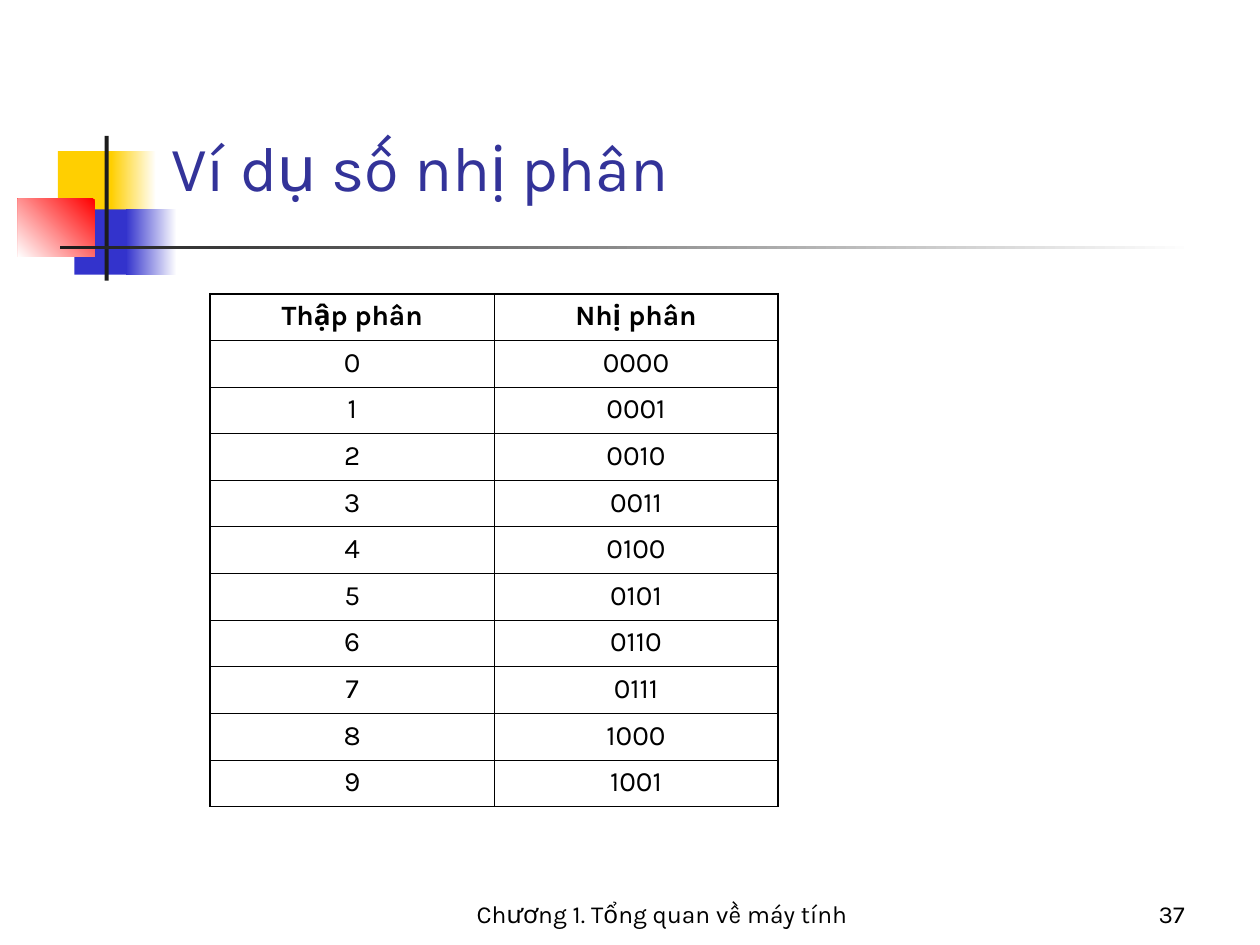
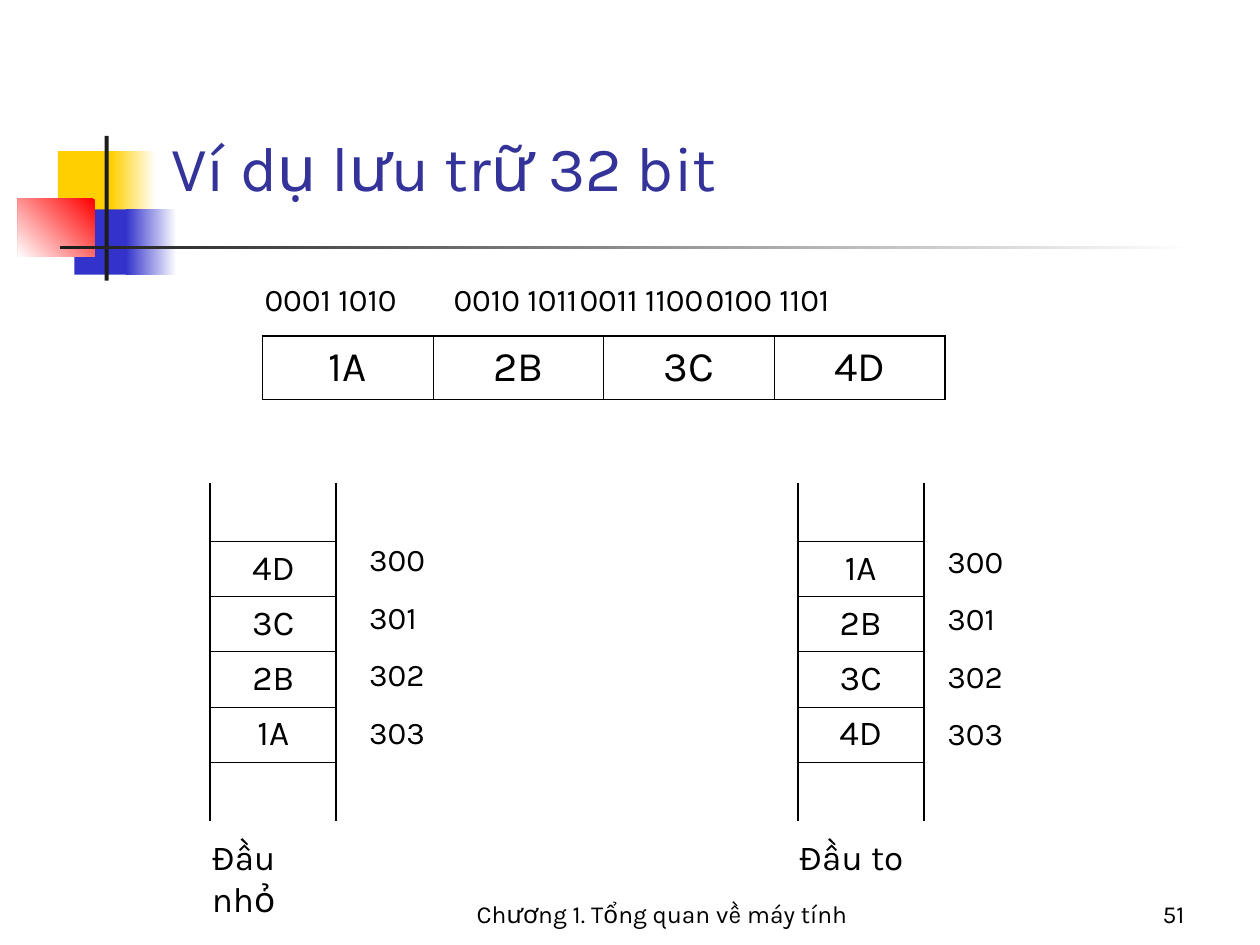
from dataclasses import dataclass

from lxml.etree import SubElement
from pptx import Presentation
from pptx.dml.color import RGBColor
from pptx.enum.shapes import MSO_SHAPE as Shape
from pptx.enum.text import MSO_ANCHOR as Anchor, MSO_AUTO_SIZE as AutoSize, PP_ALIGN as Align
from pptx.oxml.ns import qn
from pptx.util import Cm, Pt


@dataclass(frozen=True)
class Theme:
    font: str = "Karla"
    text: str = "000000"
    title: str = "333399"
    yellow: str = "FFCF01"
    blue: str = "3333CC"
    red: str = "FF0000"
    dark: str = "1C1C1C"
    white: str = "FFFFFF"
    title_size: float = 36
    word_size: float = 24
    memory_size: float = 20
    label_size: float = 18
    table_size: float = 16
    footer_size: float = 14
    thick: float = 1.08
    thin: float = 0.45


THEME = Theme()

# Boxes are (left, top, width, height) in centimetres.
TITLE_BOX = (3.2, 1.73, 21.64, 2.51)
FOOTER_BOX = (9.32, 17.58, 8.05, 1.27)
NUMBER_BOX = (18.85, 17.58, 5.28, 1.27)
FOOTER = "Chương 1. Tổng quan về máy tính"

# Each part of the band: box, fill colours (two make a gradient), gradient angle.
BAND = [
    ((1.17, 3.05, 1.22, 1.32), (THEME.yellow,), 0),
    ((2.24, 3.05, 0.91, 1.32), (THEME.white, THEME.yellow), 180),
    ((1.5, 4.22, 1.17, 1.32), (THEME.blue,), 0),
    ((2.54, 4.22, 1.02, 1.32), (THEME.white, THEME.blue), 180),
    ((0.36, 4.01, 1.55, 1.17), (THEME.red, THEME.white), 225),
    ((2.11, 2.74, 0.08, 2.92), (THEME.dark,), 0),
    ((1.22, 4.95, 22.86, 0.08), (THEME.white, THEME.dark), 180),
]

BINARY_ROWS = [("Thập phân", "Nhị phân")] + [(str(n), f"{n:04b}") for n in range(10)]

WORD_BYTES = ["1A", "2B", "3C", "4D"]
WORD_BITS = ["0001 1010", "0010 1011", "0011 1100", "0100 1101"]
BITS_BOX = (5.08, 5.51, 14.07, 1.07)
BITS_TABS = (3.1, 5.92, 8.71)
ADDRESSES = ["300", "301", "302", "303"]
# Caption, byte order, memory left, address left and top, caption height.
MEMORIES = [
    ("Đầu nhỏ", WORD_BYTES[::-1], 4.24, 7.19, 10.77, 1.96),
    ("Đầu to", WORD_BYTES, 16.08, 18.85, 10.8, 1.12),
]


def lengths(box):
    return [Cm(value) for value in box]


def write(frame, lines, size, color=THEME.text, align=Align.LEFT, bold=False, gap=0):
    frame.text = "\n".join(lines)
    for index, para in enumerate(frame.paragraphs):
        para.alignment = align
        para.space_before = Pt(gap if index else 0)
        for span in para.runs:
            span.font.name = THEME.font
            span.font.size = Pt(size)
            span.font.bold = bold
            span.font.color.rgb = RGBColor.from_string(color)


def add_label(page, box, lines, size, anchor=Anchor.TOP, **style):
    frame = page.shapes.add_textbox(*lengths(box)).text_frame
    frame.word_wrap = True
    frame.vertical_anchor = anchor
    write(frame, lines, size, **style)


def place(holder, box, anchor):
    """Move a placeholder and return its text frame, ready to be written."""
    holder.left, holder.top, holder.width, holder.height = lengths(box)
    frame = holder.text_frame
    frame.auto_size = AutoSize.NONE
    frame.vertical_anchor = anchor
    return frame


def add_band(master, page):
    """Draw the band on the page, then move it behind everything on the master."""
    tree = master.element.cSld.spTree
    for index, (box, colors, angle) in enumerate(BAND):
        part = page.shapes.add_shape(Shape.RECTANGLE, *lengths(box))
        part.name = f"Band {index + 1}"
        part.shadow.inherit = False
        part.line.fill.background()
        if len(colors) == 1:
            part.fill.solid()
            part.fill.fore_color.rgb = RGBColor.from_string(colors[0])
        else:
            part.fill.gradient()
            part.fill.gradient_angle = angle
            for stop, color in zip(part.fill.gradient_stops, colors):
                stop.color.rgb = RGBColor.from_string(color)
        part.element.nvSpPr.cNvPr.set("id", str(100 + index))
        tree.insert(2 + index, part.element)


def add_page(deck, layout, title, number):
    page = deck.slides.add_slide(deck.slide_layouts.get_by_name(layout))
    frame = place(page.shapes.title, TITLE_BOX, Anchor.BOTTOM)
    write(frame, [title], THEME.title_size, color=THEME.title)
    for box, text, align in ((FOOTER_BOX, FOOTER, Align.CENTER),
                             (NUMBER_BOX, str(number), Align.RIGHT)):
        add_label(page, box, [text], THEME.footer_size, Anchor.BOTTOM, align=align)
    return page


def set_borders(cell, widths):
    """Give a cell its left, right, top and bottom lines; None means no line."""
    properties = cell._tc.get_or_add_tcPr()
    for side, width in zip("LRTB", widths):
        line = SubElement(properties, qn(f"a:ln{side}"))
        if width is None:
            SubElement(line, qn("a:noFill"))
            continue
        line.set("w", str(Pt(width)))
        fill = SubElement(line, qn("a:solidFill"))
        SubElement(fill, qn("a:srgbClr")).set("val", THEME.text)


def add_grid(page, left, top, rows, column_width, heights, size,
             has_header=False, end_line=THEME.thick):
    """Add a table with thick sides, thin inner lines and end_line above and below."""
    last_row, last_column = len(rows) - 1, len(rows[0]) - 1
    box = (left, top, column_width * len(rows[0]), sum(heights))
    table = page.shapes.add_table(len(rows), len(rows[0]), *lengths(box)).table
    table.first_row = has_header
    table.horz_banding = False
    for column in table.columns:
        column.width = Cm(column_width)
    for r, (row, height) in enumerate(zip(rows, heights)):
        table.rows[r].height = Cm(height)
        for c, text in enumerate(row):
            cell = table.cell(r, c)
            set_borders(cell, (THEME.thin if c else THEME.thick,
                               THEME.thin if c < last_column else THEME.thick,
                               THEME.thin if r else end_line,
                               THEME.thin if r < last_row else end_line))
            cell.fill.background()
            write(cell.text_frame, [text], size, align=Align.CENTER,
                  bold=has_header and r == 0)


def add_bits(page):
    """Write the four bit groups on one line, set apart by tab stops."""
    frame = place(page.placeholders[1], BITS_BOX, Anchor.TOP)
    write(frame, ["\t".join(WORD_BITS)], THEME.label_size)
    properties = frame.paragraphs[0]._p.get_or_add_pPr()
    properties.set("marL", "0")
    properties.set("indent", "0")
    SubElement(properties, qn("a:buNone"))
    tabs = SubElement(properties, qn("a:tabLst"))
    for position in BITS_TABS:
        tab = SubElement(tabs, qn("a:tab"))
        tab.set("pos", str(Cm(position)))
        tab.set("algn", "l")


def add_memory(page, caption, stored, left, address_left, address_top, caption_height):
    rows = [[text] for text in ("", *stored, "")]
    heights = [1.19] + [1.11] * len(stored) + [1.19]
    add_grid(page, left, 9.73, rows, 2.54, heights, THEME.memory_size, end_line=None)
    add_label(page, (address_left, address_top, 2.34, 4.5), ADDRESSES,
              THEME.label_size, gap=11.2)
    add_label(page, (left - 0.22, 16.71, 3.18, caption_height), [caption],
              THEME.memory_size)


def main():
    deck = Presentation()
    deck.slide_width, deck.slide_height = Cm(25.4), Cm(19.05)

    page = add_page(deck, "Title Only", "Ví dụ số nhị phân", 37)
    add_band(deck.slide_master, page)
    add_grid(page, 4.24, 5.92, BINARY_ROWS, 5.72, [0.94] * len(BINARY_ROWS),
             THEME.table_size, has_header=True)

    page = add_page(deck, "Title and Content", "Ví dụ lưu trữ 32 bit", 51)
    add_bits(page)
    add_grid(page, 5.29, 6.78, [WORD_BYTES], 3.44, [1.27], THEME.word_size)
    for memory in MEMORIES:
        add_memory(page, *memory)

    deck.save("out.pptx")


if __name__ == "__main__":
    main()
